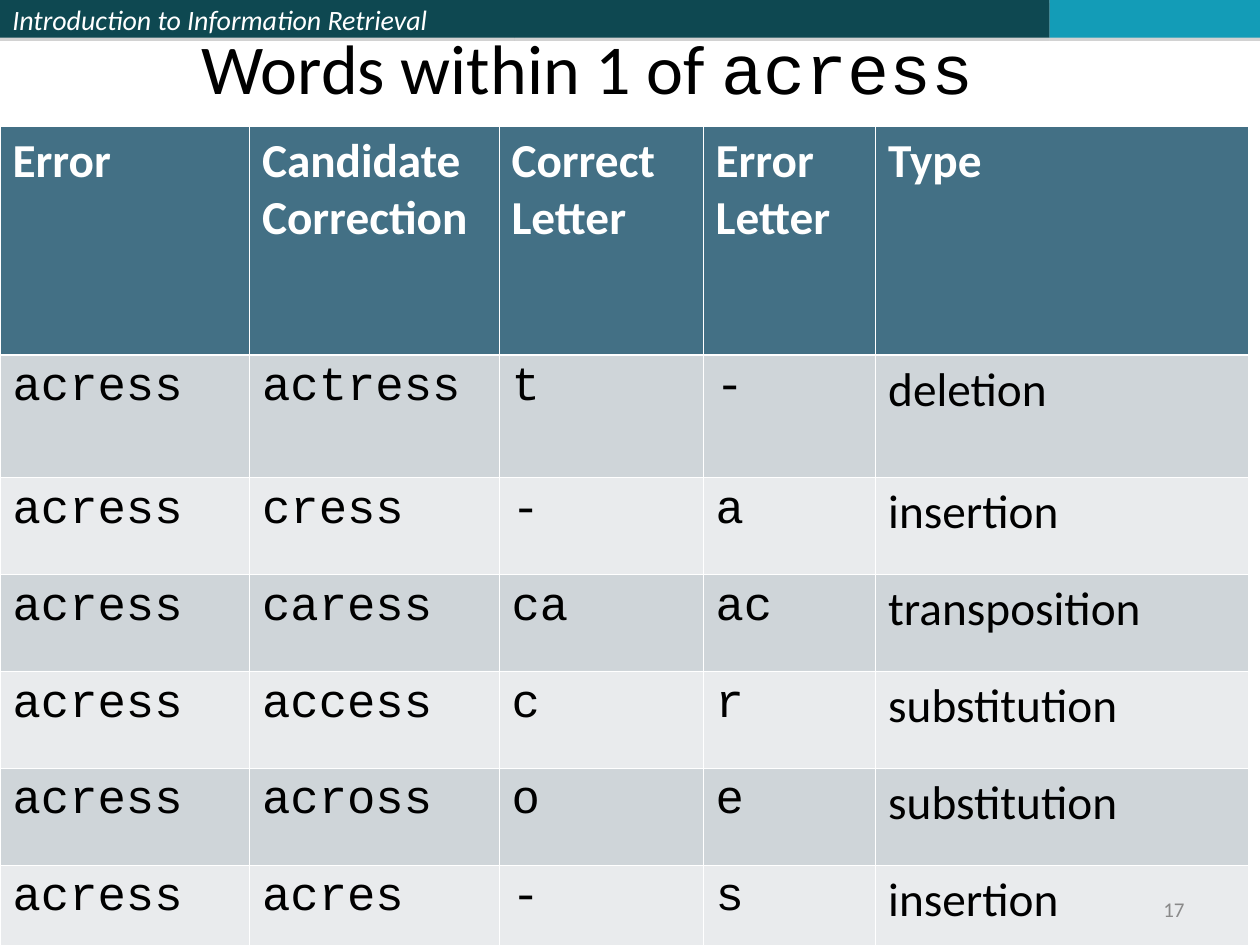
import pptx
import pptx.dml.color
import pptx.enum.shapes
import pptx.enum.text
import pptx.oxml
import pptx.oxml.ns
import pptx.util

Inches = pptx.util.Inches
ALIGN = pptx.enum.text.PP_ALIGN
ANCHOR = pptx.enum.text.MSO_ANCHOR

COLORS = {
    "white": "FFFFFF",
    "black": "000000",
    "dark teal": "0E4851",
    "bright teal": "139CB7",
    "header": "437085",
    "odd row": "CFD5D9",
    "even row": "E9EBED",
    "page number": "898989",
    "shadow": "808080",
}
SANS, MONO = "Calibri", "Courier New"

BARS = [(4.08, "dark teal"), (4.25, "dark teal"), (1.67, "bright teal")]
COLUMN_WIDTHS = [1.98, 1.98, 1.62, 1.37, 2.96]
ROW_HEIGHTS = [1.82, 0.97] + [0.77] * 5
HEADINGS = ["Error", "Candidate Correction", "Correct Letter", "Error Letter", "Type"]
CORRECTIONS = [
    ("actress", "t", "-", "deletion"),
    ("cress", "-", "a", "insertion"),
    ("caress", "ca", "ac", "transposition"),
    ("access", "c", "r", "substitution"),
    ("across", "o", "e", "substitution"),
    ("acres", "-", "s", "insertion"),
]


def rgb(name):
    return pptx.dml.color.RGBColor.from_string(COLORS[name])


def add_run(paragraph, text, size, color, font=SANS, bold=False, italic=False):
    run = paragraph.add_run()
    run.text = text
    run.font.name = font
    run.font.size = pptx.util.Pt(size)
    run.font.bold = bold
    run.font.italic = italic
    run.font.color.rgb = rgb(color)


def add_bar_shadow(bar):
    """Cast a thin, sharp shadow straight down."""
    bar.shadow.inherit = False
    effects = bar.element.spPr.find(pptx.oxml.ns.qn("a:effectLst"))
    effects.append(pptx.oxml.parse_xml(
        f'<a:outerShdw {pptx.oxml.ns.nsdecls("a")} blurRad="0" '
        f'dist="{pptx.util.Pt(1.8)}" dir="5400000" rotWithShape="0">'
        f'<a:srgbClr val="{COLORS["shadow"]}"><a:alpha val="35000"/></a:srgbClr>'
        '</a:outerShdw>'))


def add_banner(slide):
    left = 0
    for width, color in BARS:
        bar = slide.shapes.add_shape(
            pptx.enum.shapes.MSO_SHAPE.RECTANGLE,
            Inches(left), 0, Inches(width), Inches(0.3))
        bar.fill.solid()
        bar.fill.fore_color.rgb = rgb(color)
        bar.line.fill.background()
        add_bar_shadow(bar)
        if left == 0:
            bar.text_frame.vertical_anchor = ANCHOR.MIDDLE
            course = bar.text_frame.paragraphs[0]
            course.alignment = ALIGN.LEFT
            add_run(course, "Introduction to Information Retrieval", 16, "white",
                    italic=True)
        left += width


def fill_title(slide):
    title = slide.shapes.title
    title.left, title.top = Inches(1.5), Inches(-0.17)
    title.width, title.height = Inches(8.17), Inches(1.08)
    frame = title.text_frame
    frame.auto_size = pptx.enum.text.MSO_AUTO_SIZE.NONE
    frame.vertical_anchor = ANCHOR.BOTTOM
    heading = frame.paragraphs[0]
    heading.alignment = ALIGN.LEFT
    add_run(heading, "Words within 1 of ", 40, "black")
    add_run(heading, "acress", 40, "black", font=MONO)
    # Bring the title in front of the banner
    title.element.getparent().append(title.element)


def set_borders(cell, top, bottom):
    properties = cell._tc.get_or_add_tcPr()
    for side, width in (("L", 0.45), ("R", 0.45), ("T", top), ("B", bottom)):
        properties.append(pptx.oxml.parse_xml(
            f'<a:ln{side} {pptx.oxml.ns.nsdecls("a")} w="{pptx.util.Pt(width)}">'
            f'<a:solidFill><a:srgbClr val="{COLORS["white"]}"/></a:solidFill>'
            f'</a:ln{side}>'))


def add_corrections_table(slide):
    rows = [HEADINGS] + [("acress", *correction) for correction in CORRECTIONS]
    table = slide.shapes.add_table(
        len(rows), len(HEADINGS), 0, Inches(1),
        Inches(sum(COLUMN_WIDTHS)), Inches(sum(ROW_HEIGHTS))).table
    for column, width in zip(table.columns, COLUMN_WIDTHS):
        column.width = Inches(width)
    for r, (words, height) in enumerate(zip(rows, ROW_HEIGHTS)):
        table.rows[r].height = Inches(height)
        is_header = r == 0
        fill = "header" if is_header else "odd row" if r % 2 else "even row"
        for c, word in enumerate(words):
            cell = table.cell(r, c)
            set_borders(cell, top=1.47 if r == 1 else 0.45,
                        bottom=1.47 if is_header else 0.45)
            cell.fill.solid()
            cell.fill.fore_color.rgb = rgb(fill)
            is_sans = is_header or HEADINGS[c] == "Type"
            add_run(cell.text_frame.paragraphs[0], word, 27,
                    "white" if is_header else "black",
                    font=SANS if is_sans else MONO, bold=is_header)


def add_page_number(slide):
    frame = slide.shapes.add_textbox(
        Inches(7.17), Inches(7.08), Inches(2.33), Inches(0.27)).text_frame
    frame.word_wrap = True
    frame.vertical_anchor = ANCHOR.MIDDLE
    number = frame.paragraphs[0]
    number.alignment = ALIGN.RIGHT
    add_run(number, "17", 12, "page number")


def main():
    presentation = pptx.Presentation()
    presentation.slide_width = Inches(10)
    presentation.slide_height = Inches(7.5)
    slide = presentation.slides.add_slide(presentation.slide_layouts[5])
    add_banner(slide)
    fill_title(slide)
    add_corrections_table(slide)
    add_page_number(slide)
    presentation.save("out.pptx")


if __name__ == "__main__":
    main()
